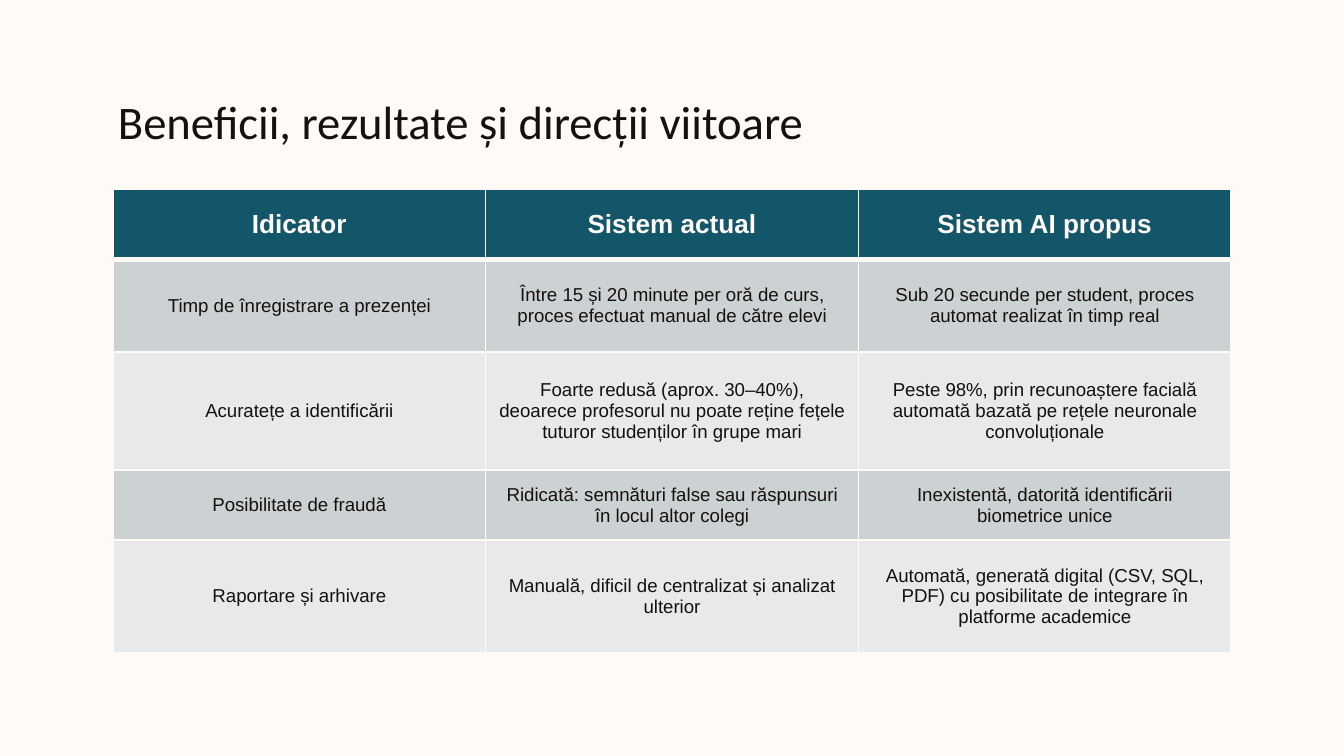
from dataclasses import dataclass

from lxml.etree import SubElement
from pptx import Presentation
from pptx.dml.color import RGBColor
from pptx.enum.text import MSO_ANCHOR, PP_ALIGN
from pptx.oxml.ns import qn
from pptx.util import Inches, Pt


@dataclass(frozen=True)
class Theme:
    paper: str = "FFFAF6"
    ink: str = "15110E"
    header: str = "135669"
    bands: tuple = ("CCD1D4", "E7E9EB")
    title_font: str = "Calibri"
    table_font: str = "Arial"
    title_size: int = 25
    header_size: int = 14
    body_size: int = 10


THEME = Theme()
ROWS = [
    ("Idicator", "Sistem actual", "Sistem AI propus"),
    ("Timp de înregistrare a prezenței",
     "Între 15 și 20 minute per oră de curs, proces efectuat manual de către elevi",
     "Sub 20 secunde per student, proces automat realizat în timp real"),
    ("Acuratețe a identificării",
     "Foarte redusă (aprox. 30–40%), deoarece profesorul nu poate reține fețele "
     "tuturor studenților în grupe mari",
     "Peste 98%, prin recunoaștere facială automată bazată pe rețele neuronale "
     "convoluționale"),
    ("Posibilitate de fraudă",
     "Ridicată: semnături false sau răspunsuri în locul altor colegi",
     "Inexistentă, datorită identificării biometrice unice"),
    ("Raportare și arhivare",
     "Manuală, dificil de centralizat și analizat ulterior",
     "Automată, generată digital (CSV, SQL, PDF) cu posibilitate de integrare în "
     "platforme academice"),
]
ROW_HEIGHTS = (0.52, 0.69, 0.88, 0.52, 0.84)
TABLE_WIDTH = 8.32


def add_text(p, text, color, **font):
    r = p.add_run()
    r.text = text
    r.font.color.rgb = RGBColor.from_string(color)
    for name, value in font.items():
        setattr(r.font, name, value)


def set_borders(cell, widths):
    """Draw paper-coloured borders, widths in points by side; call before the fill is set."""
    tc_pr = cell._tc.get_or_add_tcPr()
    for side, width in widths.items():
        ln = SubElement(tc_pr, qn(f"a:ln{side}"), w=str(Pt(width)))
        fill = SubElement(ln, qn("a:solidFill"))
        SubElement(fill, qn("a:srgbClr"), val=THEME.paper)


prs = Presentation()
prs.slide_width = Inches(10)
prs.slide_height = prs.slide_width * 9 // 16
s = prs.slides.add_slide(prs.slide_layouts[6])
s.background.fill.solid()
s.background.fill.fore_color.rgb = RGBColor.from_string(THEME.paper)

title = s.shapes.add_textbox(Inches(0.78), Inches(0.59), Inches(8.44), Inches(0.6))
tf = title.text_frame
frame_format = {"word_wrap": True, "vertical_anchor": MSO_ANCHOR.TOP}
frame_format |= {f"margin_{side}": Inches(0.1) for side in ("left", "top", "right", "bottom")}
for name, value in frame_format.items():
    setattr(tf, name, value)
add_text(tf.paragraphs[0], "Beneficii, rezultate și direcții viitoare", THEME.ink,
         name=THEME.title_font, size=Pt(THEME.title_size))

# add_table shares the width equally among the columns
table = s.shapes.add_table(
    len(ROWS), len(ROWS[0]), Inches(0.84), Inches(1.41),
    Inches(TABLE_WIDTH), Inches(sum(ROW_HEIGHTS))).table

for i, (texts, height) in enumerate(zip(ROWS, ROW_HEIGHTS)):
    table.rows[i].height = Inches(height)
    is_header = i == 0
    fill = THEME.header if is_header else THEME.bands[(i - 1) % 2]
    color = THEME.paper if is_header else THEME.ink
    size = THEME.header_size if is_header else THEME.body_size
    borders = {"L": 1, "R": 1, "T": 3 if i == 1 else 1, "B": 3 if is_header else 1}
    for j, text in enumerate(texts):
        cell = table.cell(i, j)
        set_borders(cell, borders)
        cell.fill.solid()
        cell.fill.fore_color.rgb = RGBColor.from_string(fill)
        cell.vertical_anchor = MSO_ANCHOR.MIDDLE
        p = cell.text_frame.paragraphs[0]
        p.alignment = PP_ALIGN.CENTER
        add_text(p, text, color, name=THEME.table_font, size=Pt(size), bold=is_header)

prs.save("out.pptx")
